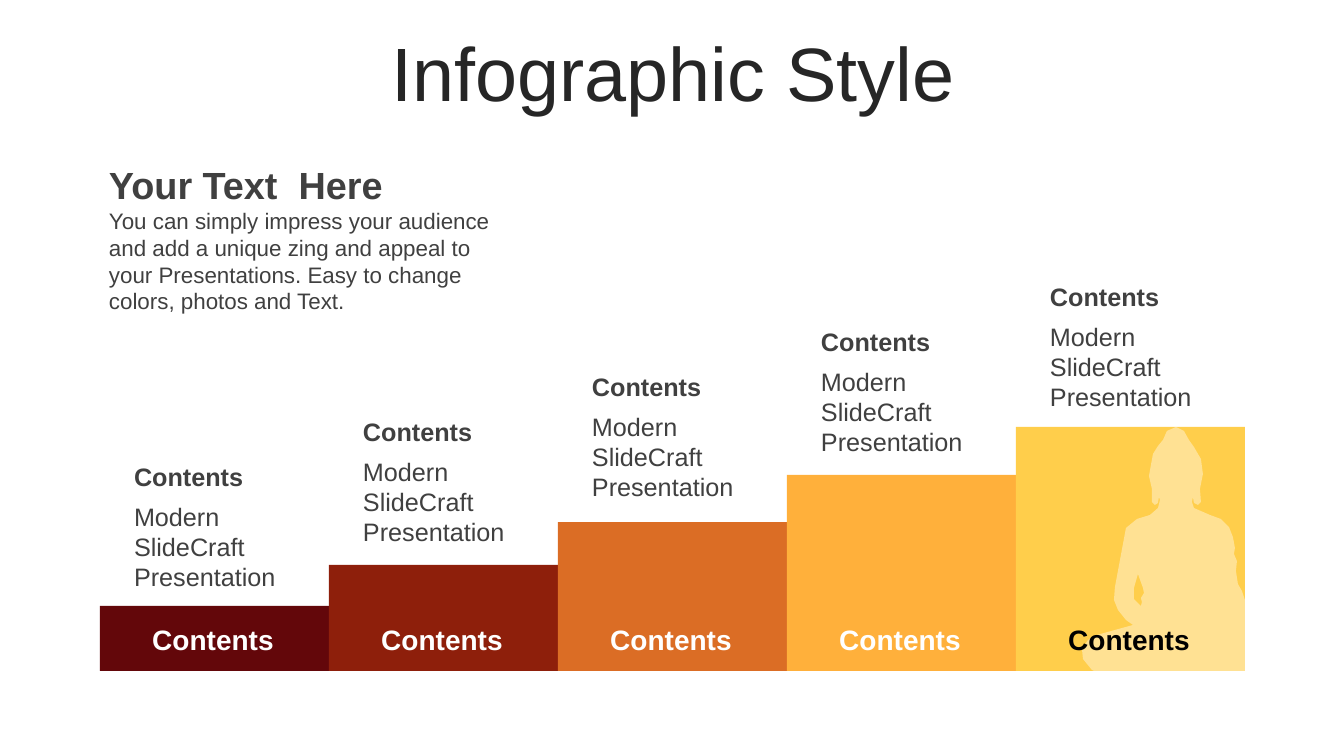
from lxml import etree
from pptx import Presentation
from pptx.dml.color import RGBColor
from pptx.enum.shapes import MSO_SHAPE
from pptx.enum.text import MSO_ANCHOR, MSO_AUTO_SIZE, PP_ALIGN
from pptx.oxml.ns import qn
from pptx.util import Pt

RECTANGLE = MSO_SHAPE.RECTANGLE
TOP, MIDDLE = MSO_ANCHOR.TOP, MSO_ANCHOR.MIDDLE
LEFT, CENTER = PP_ALIGN.LEFT, PP_ALIGN.CENTER
NO_AUTOSIZE = MSO_AUTO_SIZE.NONE

EMU_PER_PX = 914400 / 100.8
FONT = "Arial"
TITLE_ONLY = 5
COLORS = {
    "title": "262626", "text": "404040", "white": "FFFFFF", "black": "000000",
    "maroon": "63070A", "rust": "8E1F0B", "orange": "DB6D25",
    "amber": "FFB03B", "yellow": "FFCE4B",
}

STEPS = [
    ("maroon", 606, "white"),
    ("rust", 565, "white"),
    ("orange", 522, "white"),
    ("amber", 475, "white"),
    ("yellow", 427, "black"),
]
STEP_LEFT, STEP_WIDTH, STEP_BOTTOM = 100, 229, 671
CAPTION_TOP, CAPTION_RISE = 456, 45

STATUE_OUTLINE = [
    (1176, 427), (1184, 431), (1189, 440), (1194, 447), (1201, 459), (1203, 474),
    (1200, 489), (1201, 502), (1198, 505), (1194, 503), (1193, 497), (1192, 502),
    (1194, 508), (1210, 515), (1221, 519), (1229, 527), (1233, 537), (1235, 548),
    (1234, 554), (1237, 561), (1236, 571), (1238, 584), (1242, 591), (1245, 600),
    (1247, 631), (1249, 637), (1260, 643), (1264, 653), (1258, 666), (1241, 674),
    (1230, 677), (1211, 676), (1202, 673), (1212, 681), (1198, 687), (1173, 687),
    (1154, 685), (1144, 684), (1152, 672), (1123, 679), (1105, 676), (1092, 670),
    (1083, 659), (1082, 649), (1088, 640), (1097, 635), (1133, 625), (1126, 620),
    (1118, 610), (1114, 600), (1115, 587), (1126, 528), (1137, 519), (1150, 515),
    (1158, 508), (1160, 500), (1159, 497), (1158, 503), (1155, 505), (1152, 502),
    (1152, 489), (1149, 476), (1151, 465), (1153, 454), (1158, 446), (1163, 440),
    (1167, 431),
]
STATUE_ARM_GAP = [
    (1138, 574), (1134, 588), (1134, 599), (1141, 606),
    (1142, 602), (1141, 598), (1144, 593), (1143, 588),
]


def px(length):
    return round(length * EMU_PER_PX)


def rgb(name):
    return RGBColor.from_string(COLORS[name])


def write_text(frame, text, size, color="text", bold=False, align=LEFT,
               anchor=TOP, inset_left=10, line_spacing=None):
    frame.word_wrap = True
    frame.auto_size = NO_AUTOSIZE
    frame.vertical_anchor = anchor
    frame.margin_left, frame.margin_right = px(inset_left), px(10)
    frame.margin_top = frame.margin_bottom = px(5)
    paragraph = frame.paragraphs[0]
    paragraph.text = text
    paragraph.alignment = align
    paragraph.space_before = Pt(0)
    paragraph.line_spacing = line_spacing
    font = paragraph.font
    font.name, font.size, font.bold = FONT, Pt(size), bold
    font.color.rgb = rgb(color)


def add_label(slide, box, text, size, **text_format):
    label = slide.shapes.add_textbox(*map(px, box))
    write_text(label.text_frame, text, size, **text_format)


def paint(shape, color):
    shape.shadow.inherit = False
    shape.fill.solid()
    shape.fill.fore_color.rgb = rgb(color)
    shape.line.fill.background()


def add_title(slide, text):
    title = slide.shapes.title
    title.left, title.top, title.width, title.height = map(px, (35, 37, 1276, 80))
    write_text(title.text_frame, text, 54, color="title", align=CENTER,
               anchor=MIDDLE, line_spacing=0.9)


def add_step(slide, index, color, top):
    box = (STEP_LEFT + index * STEP_WIDTH, top, STEP_WIDTH, STEP_BOTTOM - top)
    step = slide.shapes.add_shape(RECTANGLE, *map(px, box))
    paint(step, color)


def add_statue(slide):
    builder = slide.shapes.build_freeform(*STATUE_OUTLINE[0], scale=EMU_PER_PX)
    builder.add_line_segments(STATUE_OUTLINE[1:])
    builder.move_to(*STATUE_ARM_GAP[0])
    builder.add_line_segments(STATUE_ARM_GAP[1:])
    statue = builder.convert_to_shape()
    paint(statue, "white")
    fill_color = statue.element.spPr.find(qn("a:solidFill")).find(qn("a:srgbClr"))
    etree.SubElement(fill_color, qn("a:alpha"), val="40000")


def add_step_text(slide, index, label_color):
    left = STEP_LEFT + 34 + index * STEP_WIDTH
    top = CAPTION_TOP - index * CAPTION_RISE
    add_label(slide, (left, top, 164, 40), "Contents", 18, bold=True, inset_left=0)
    add_label(slide, (left, top + 40, 164, 102), "Modern SlideCraft Presentation",
              18, inset_left=0)
    add_label(slide, (left + 1, 617, 166, 44), "Contents", 20, color=label_color,
              bold=True, align=CENTER, anchor=MIDDLE, inset_left=0)


def main():
    deck = Presentation()
    deck.slide_width, deck.slide_height = px(1344), px(756)
    slide = deck.slides.add_slide(deck.slide_layouts[TITLE_ONLY])
    add_title(slide, "Infographic Style")
    for index, (color, top, _) in enumerate(STEPS):
        add_step(slide, index, color, top)
    add_statue(slide)
    for index, (_, _, label_color) in enumerate(STEPS):
        add_step_text(slide, index, label_color)
    add_label(slide, (99, 157, 429, 56), "Your Text  Here", 27, bold=True)
    add_label(slide, (99, 202, 429, 119),
              "You can simply impress your audience and add a unique zing and appeal "
              "to your Presentations. Easy to change colors, photos and Text.", 16)
    deck.save("out.pptx")


if __name__ == "__main__":
    main()
